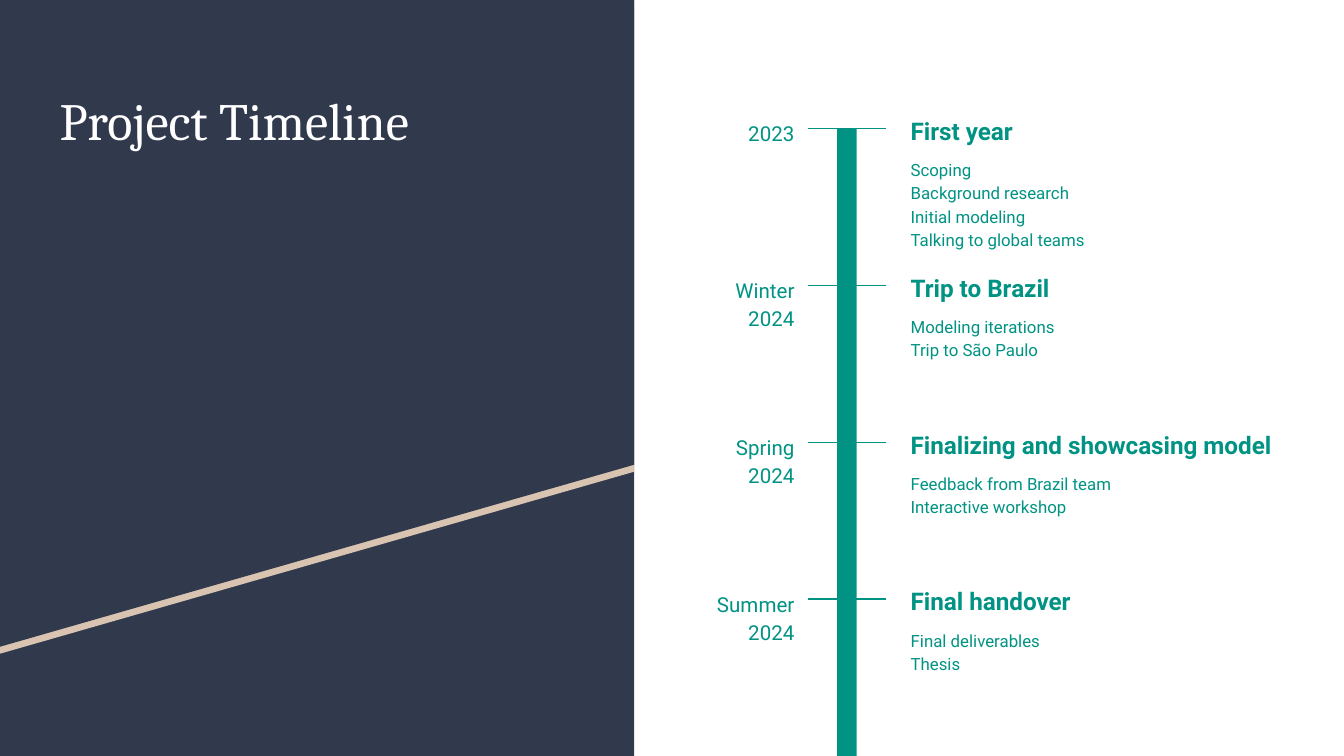
"""Build a project timeline slide with a dark title panel and four stages."""
import pptx
import pptx.dml.color
import pptx.enum.shapes
import pptx.enum.text
import pptx.oxml
import pptx.util

PX = 9525
NAVY, SAND, TEAL, WHITE = "31394D", "D9C4B1", "009384", "FFFFFF"
LEFT, RIGHT = pptx.enum.text.PP_ALIGN.LEFT, pptx.enum.text.PP_ALIGN.RIGHT
RECTANGLE = pptx.enum.shapes.MSO_SHAPE.RECTANGLE


def paint(shape, color):
    shape.shadow.inherit = False
    shape.fill.solid()
    shape.fill.fore_color.rgb = pptx.dml.color.RGBColor.from_string(color)
    shape.line.fill.background()


def write(shape, box, text, font, size, color, bold=False, align=LEFT, spacing=1.15):
    shape.left, shape.top, shape.width, shape.height = [v * PX for v in box]
    frame = shape.text_frame
    frame.word_wrap = True
    frame.auto_size = pptx.enum.text.MSO_AUTO_SIZE.NONE
    frame.vertical_anchor = pptx.enum.text.MSO_ANCHOR.TOP
    frame.margin_top = frame.margin_bottom = 10 * PX
    frame.text = text
    for paragraph in frame.paragraphs:
        paragraph.alignment = align
        paragraph.line_spacing = spacing
        paragraph.font.name = font
        paragraph.font.size = pptx.util.Pt(size)
        paragraph.font.bold = bold
        paragraph.font.color.rgb = pptx.dml.color.RGBColor.from_string(color)


deck = pptx.Presentation()
deck.slide_width, deck.slide_height = 960 * PX, 540 * PX
slide = deck.slides.add_slide(deck.slide_layouts[5])
shapes = slide.shapes

panel = shapes.add_shape(RECTANGLE, 0, 0, 453 * PX, 540 * PX)
paint(panel, NAVY)
for top, color in ((5, SAND), (0, NAVY)):
    outline = shapes.build_freeform(0, top, scale=PX)
    outline.add_line_segments([(453, top), (453, top + 332), (0, top + 462)])
    paint(outline.convert_to_shape(), color)

title = shapes.title
title.element.getparent().append(title.element)
write(title, (33, 53, 389, 263), "Project Timeline", "Cambria", 28, WHITE, spacing=1.0)

stages = [
    ("2023", "First year",
     "Scoping\nBackground research\nInitial modeling\nTalking to global teams"),
    ("Winter 2024", "Trip to Brazil", "Modeling iterations\nTrip to São Paulo"),
    ("Spring 2024", "Finalizing and showcasing model",
     "Feedback from Brazil team\nInteractive workshop"),
    ("Summer 2024", "Final handover", "Final deliverables\nThesis"),
]
for index, (date, heading, details) in enumerate(stages):
    top = 92 + 112 * index
    bar = shapes.add_shape(RECTANGLE, 598 * PX, top * PX, 14 * PX, 112 * PX)
    paint(bar, TEAL)
    tick = shapes.add_connector(pptx.enum.shapes.MSO_CONNECTOR.STRAIGHT,
                                633 * PX, top * PX, 577 * PX, top * PX)
    tick.line.color.rgb = pptx.dml.color.RGBColor.from_string(TEAL)
    tick.line.width = pptx.util.Pt(0.75)
    tick.element.spPr.append(pptx.oxml.parse_xml(
        '<a:effectLst xmlns:a="http://schemas.openxmlformats.org/drawingml/2006/main"/>'))
    for box, text, size, bold, align in (
        ((641, top - 22, 286, 31), heading, 13, True, LEFT),
        ((641, top + 10, 286, 46), details, 9, False, LEFT),
        ((497, top - 18, 80, 38), date, 11, False, RIGHT),
    ):
        write(shapes.add_textbox(0, 0, 0, 0), box, text, "Roboto", size, TEAL, bold, align)

deck.save("out.pptx")
